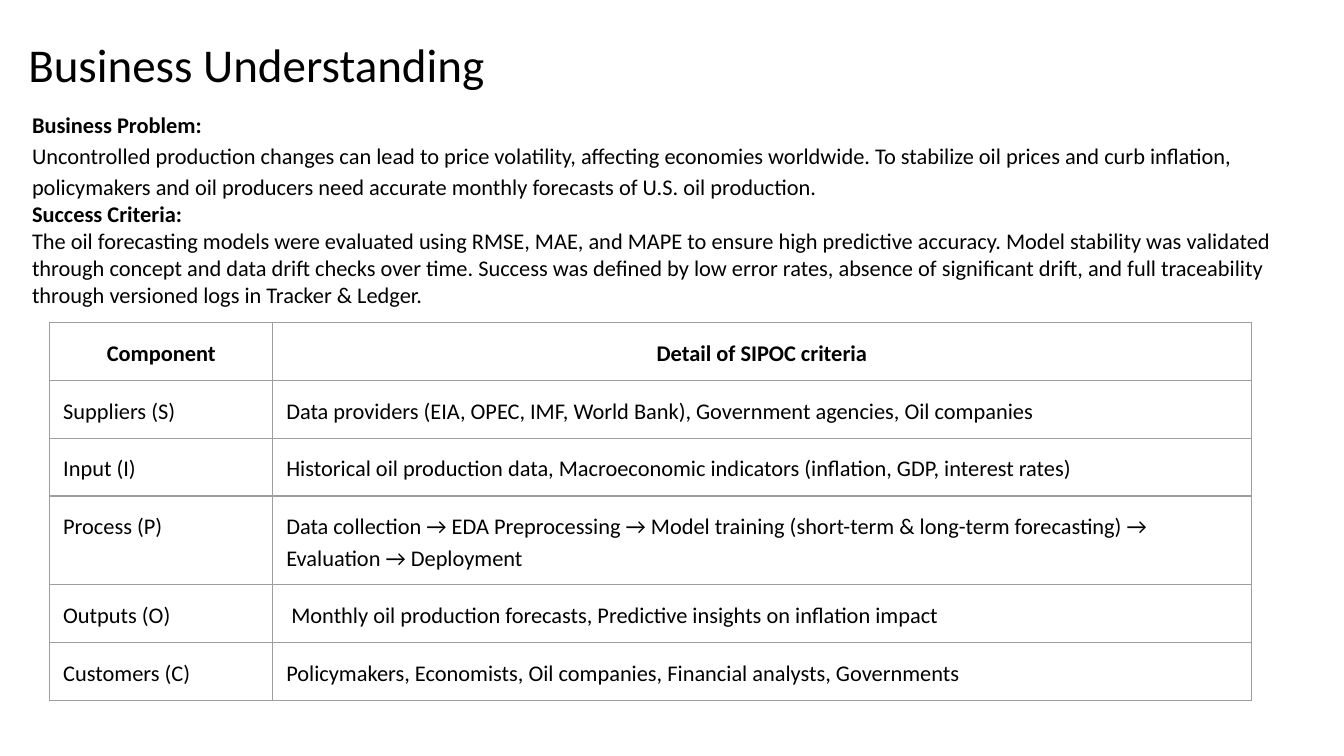
from lxml import etree
from pptx import Presentation
from pptx import util as u
from pptx.dml.color import RGBColor
from pptx.enum import text
from pptx.oxml.ns import qn

BLACK = RGBColor(0x00, 0x00, 0x00)
GRID = RGBColor(0x9E, 0x9E, 0x9E)

SUMMARY = [
    ("Business Problem: ",
     "Uncontrolled production changes can lead to price volatility, affecting "
     "economies worldwide. To stabilize oil prices and curb inflation, policymakers "
     "and oil producers need accurate monthly forecasts of U.S. oil production.",
     dict(spacing=1.15, before=12)),
    ("Success Criteria: ",
     "The oil forecasting models were evaluated using RMSE, MAE, and MAPE to ensure "
     "high predictive accuracy. Model stability was validated through concept and "
     "data drift checks over time. Success was defined by low error rates, absence "
     "of significant drift, and full traceability through versioned logs in "
     "Tracker & Ledger.",
     dict(spacing=None)),
]

SIPOC = [
    ("Component", "Detail of SIPOC criteria"),
    ("Suppliers (S)", "Data providers (EIA, OPEC, IMF, World Bank), Government agencies, "
                      "Oil companies"),
    ("Input (I)", "Historical oil production data, Macroeconomic indicators "
                  "(inflation, GDP, interest rates)"),
    ("Process (P)", "Data collection → EDA Preprocessing → Model training (short-term & "
                    "long-term forecasting) → Evaluation → Deployment"),
    ("Outputs (O)", " Monthly oil production forecasts, Predictive insights on "
                    "inflation impact"),
    ("Customers (C)", "Policymakers, Economists, Oil companies, Financial analysts, "
                      "Governments"),
]
COLUMN_WIDTHS = [1.66, 7.28]
# Minimum heights: rows grow to fit their text
ROW_HEIGHTS = [0.27, 0.43, 0.43, 0.59, 0.43, 0.43]


def write(paragraph, words, size=12, bold=False, align=text.PP_ALIGN.LEFT,
          spacing=1.15, before=0):
    """Add a run to the paragraph and format both."""
    paragraph.alignment = align
    paragraph.line_spacing = spacing
    paragraph.space_before = u.Pt(before)
    run = paragraph.add_run()
    run.text = words
    run.font.name = "Calibri"
    run.font.size = u.Pt(size)
    run.font.bold = bold
    run.font.color.rgb = BLACK


def set_margins(frame, across, down):
    frame.margin_left = frame.margin_right = u.Inches(across)
    frame.margin_top = frame.margin_bottom = u.Inches(down)


class SlideBuilder:
    def __init__(self, deck):
        self.margin = 0.1
        self.slide = deck.slides.add_slide(deck.slide_layouts[5])

    def title(self, words, left, top, width, height):
        title = self.slide.shapes.title
        title.left, title.top = u.Inches(left), u.Inches(top)
        title.width, title.height = u.Inches(width), u.Inches(height)
        frame = title.text_frame
        frame.auto_size = text.MSO_AUTO_SIZE.NONE
        frame.vertical_anchor = text.MSO_ANCHOR.MIDDLE
        set_margins(frame, 0.07, 0.04)
        write(frame.paragraphs[0], words, size=25.2, spacing=0.9)

    def summary(self, sections, left, top, width, height):
        box = self.slide.shapes.add_textbox(*map(u.Inches, (left, top, width, height)))
        frame = box.text_frame
        frame.word_wrap = True
        set_margins(frame, self.margin, self.margin)
        for index, (heading, body, layout) in enumerate(sections):
            paragraph = frame.add_paragraph() if index else frame.paragraphs[0]
            write(paragraph, heading, bold=True, **layout)
            paragraph.add_line_break()
            # The break needs the text size, or it makes the line taller
            line_break = paragraph._p.find(qn("a:br"))
            etree.SubElement(line_break, qn("a:rPr"), sz="1200")
            write(paragraph, body, **layout)

    def table(self, rows, left, top, widths, heights):
        table = self.slide.shapes.add_table(
            len(rows), len(widths), u.Inches(left), u.Inches(top),
            u.Inches(sum(widths)), u.Inches(sum(heights))).table
        table.first_row = table.horz_banding = False
        for column, width in zip(table.columns, widths):
            column.width = u.Inches(width)
        for row, height, words in zip(table.rows, heights, rows):
            row.height = u.Inches(height)
            header = words is rows[0]
            align = text.PP_ALIGN.CENTER if header else text.PP_ALIGN.LEFT
            for cell, entry in zip(row.cells, words):
                set_margins(cell, self.margin, self.margin)
                self.cell_border(cell)
                cell.fill.background()
                write(cell.text_frame.paragraphs[0], entry, bold=header, align=align)

    def cell_border(self, cell):
        properties = cell._tc.get_or_add_tcPr()
        for side in ("a:lnL", "a:lnR", "a:lnT", "a:lnB"):
            line = etree.SubElement(properties, qn(side), w=str(u.Pt(0.75)))
            fill = etree.SubElement(line, qn("a:solidFill"))
            etree.SubElement(fill, qn("a:srgbClr"), val=str(GRID))


def main():
    deck = Presentation()
    # Widescreen, 16:9
    deck.slide_width = u.Inches(10)
    deck.slide_height = deck.slide_width * 9 // 16
    builder = SlideBuilder(deck)

    # Heading
    builder.title("Business Understanding", 0.14, 0.3, 8.62, 0.4)
    # Problem and success criteria
    builder.summary(SUMMARY, 0.14, 0.7, 9.6, 2.9)
    # SIPOC overview
    builder.table(SIPOC, 0.37, 2.4, COLUMN_WIDTHS, ROW_HEIGHTS)

    deck.save("out.pptx")


if __name__ == "__main__":
    main()
